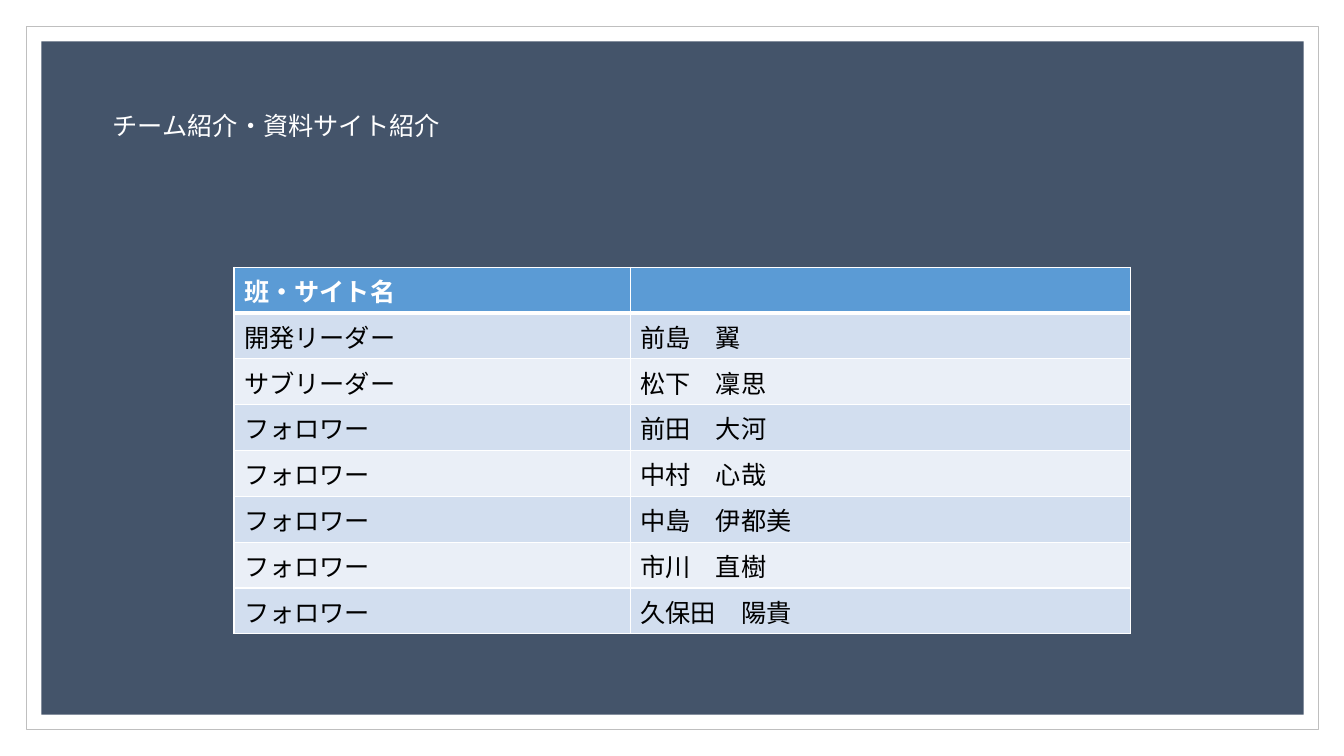
import pptx
import pptx.dml.color
import pptx.enum.shapes
import pptx.enum.text
import pptx.oxml
import pptx.oxml.ns
import pptx.util
from pptx.util import Inches

RGBColor = pptx.dml.color.RGBColor
WHITE = RGBColor(0xFF, 0xFF, 0xFF)
BLACK = RGBColor(0x00, 0x00, 0x00)
FRAME_GREY = RGBColor(0xBF, 0xBF, 0xBF)
SLATE = RGBColor(0x44, 0x54, 0x6A)
HEADER_BLUE = RGBColor(0x5B, 0x9B, 0xD5)
BAND_DARK = RGBColor(0xD2, 0xDE, 0xEF)
BAND_LIGHT = RGBColor(0xEA, 0xEF, 0xF7)

FONT = "Noto Sans CJK JP"
TEXT_SIZE = pptx.util.Pt(18)
HEADER_TEXT = {"name": FONT, "size": TEXT_SIZE, "bold": True}
BODY_TEXT = {"name": FONT, "size": TEXT_SIZE, "bold": False}

TITLE = "チーム紹介・資料サイト紹介"
MEMBERS = [
    ("班・サイト名", ""),
    ("開発リーダー", "前島　翼"),
    ("サブリーダー", "松下　凜思"),
    ("フォロワー", "前田　大河"),
    ("フォロワー", "中村　心哉"),
    ("フォロワー", "中島　伊都美"),
    ("フォロワー", "市川　直樹"),
    ("フォロワー", "久保田　陽貴"),
]


def write_text(para, text, style, color):
    span = para.add_run()
    span.text = text
    for name, value in style.items():
        setattr(span.font, name, value)
    span.font.color.rgb = color
    east_asian = pptx.oxml.parse_xml(
        f'<a:ea {pptx.oxml.ns.nsdecls("a")} typeface="{FONT}"/>')
    span.font._element.append(east_asian)


def add_panel(page, box, fill, line=None):
    panel = page.shapes.add_shape(
        pptx.enum.shapes.MSO_SHAPE.RECTANGLE, *map(Inches, box))
    panel.shadow.inherit = False
    panel.fill.solid()
    panel.fill.fore_color.rgb = fill
    if line is None:
        panel.line.fill.background()
    else:
        panel.line.color.rgb = line
        panel.line.width = pptx.util.Pt(0.5)


def add_backdrop(page, box):
    left, top, width, height = box
    inset = 0.15
    add_panel(page, box, WHITE, FRAME_GREY)
    add_panel(page, (left + inset, top + inset,
                     width - 2 * inset, height - 2 * inset), SLATE)


def add_title(page, box):
    title = page.shapes.add_textbox(*map(Inches, box))
    frame = title.text_frame
    frame.word_wrap = False
    frame.auto_size = pptx.enum.text.MSO_AUTO_SIZE.SHAPE_TO_FIT_TEXT
    write_text(frame.paragraphs[0], TITLE, BODY_TEXT, WHITE)


def set_borders(cell, points):
    properties = cell._tc.get_or_add_tcPr()
    for side, width in points.items():
        properties.append(pptx.oxml.parse_xml(
            f'<a:ln{side} {pptx.oxml.ns.nsdecls("a")} w="{pptx.util.Pt(width)}">'
            f'<a:solidFill><a:srgbClr val="{WHITE}"/></a:solidFill></a:ln{side}>'))


def add_member_table(page, box):
    left, top, width, height = map(Inches, box)
    table = page.shapes.add_table(
        len(MEMBERS), 2, left, top, width, height).table
    table.columns[0].width = Inches(3.93)
    table.columns[1].width = width - Inches(3.93)
    for row, texts in enumerate(MEMBERS):
        is_header = row == 0
        style = HEADER_TEXT if is_header else BODY_TEXT
        color = WHITE if is_header else BLACK
        band = BAND_DARK if row % 2 else BAND_LIGHT
        for column, text in enumerate(texts):
            cell = table.cell(row, column)
            set_borders(cell, {"L": 1, "R": 1,
                               "T": 3 if row == 1 else 1,
                               "B": 3 if is_header else 1})
            cell.fill.solid()
            cell.fill.fore_color.rgb = HEADER_BLUE if is_header else band
            if text:
                write_text(cell.text_frame.paragraphs[0], text, style, color)


def main():
    deck = pptx.Presentation()
    deck.slide_width = Inches(13.33)
    deck.slide_height = Inches(7.5)
    page = deck.slides.add_slide(deck.slide_layouts[6])
    add_backdrop(page, (0.26, 0.26, 12.82, 6.98))
    add_title(page, (1.02, 1.05, 3.48, 0.4))
    add_member_table(page, (2.32, 2.65, 8.89, 3.64))
    deck.save("out.pptx")


if __name__ == "__main__":
    main()
